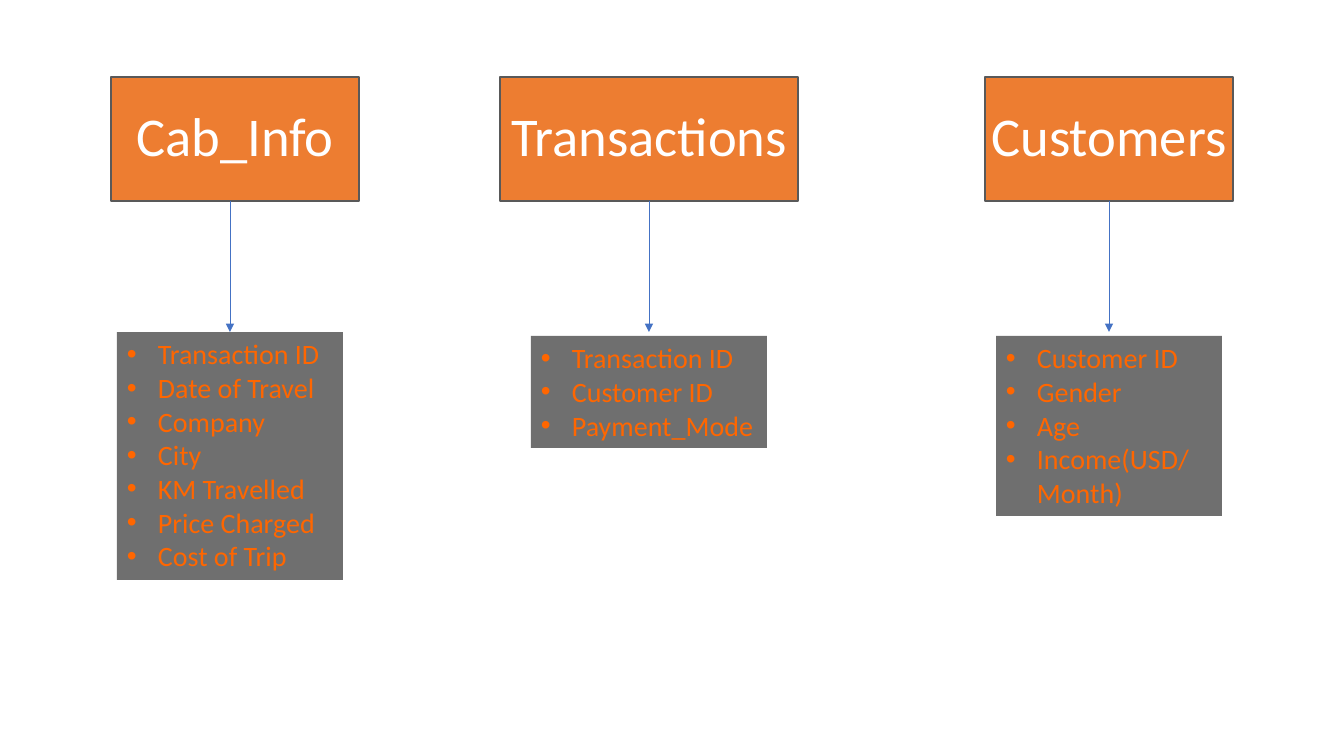
from dataclasses import dataclass

from lxml.etree import SubElement
from pptx import Presentation
from pptx.dml.color import RGBColor
from pptx.enum.shapes import MSO_CONNECTOR, MSO_SHAPE
from pptx.enum.text import MSO_ANCHOR, PP_ALIGN
from pptx.oxml.ns import qn
from pptx.shapes.autoshape import Shape
from pptx.shapes.shapetree import SlideShapes
from pptx.util import Emu, Pt

RECT = MSO_SHAPE.RECTANGLE
STRAIGHT = MSO_CONNECTOR.STRAIGHT
MIDDLE, TOP = MSO_ANCHOR.MIDDLE, MSO_ANCHOR.TOP
CENTER, LEFT = PP_ALIGN.CENTER, PP_ALIGN.LEFT
SCALE = 914400 / 100.8
BOTTOM_SITE, TOP_SITE = 2, 0


def px(n: int) -> Emu:
    return Emu(round(n * SCALE))


@dataclass(frozen=True)
class Theme:
    font: str = "Calibri"
    head_fill: RGBColor = RGBColor(0xED, 0x7D, 0x31)
    head_line: RGBColor = RGBColor(0x59, 0x59, 0x59)
    head_text: RGBColor = RGBColor(0xFF, 0xFF, 0xFF)
    list_fill: RGBColor = RGBColor(0x40, 0x40, 0x40)
    list_text: RGBColor = RGBColor(0xFF, 0x66, 0x00)
    arrow: RGBColor = RGBColor(0x44, 0x72, 0xC4)
    head_size: Pt = Pt(39)
    list_size: Pt = Pt(20)
    head_width: Pt = Pt(1)
    arrow_width: Pt = Pt(0.5)
    list_alpha: int = 75


@dataclass(frozen=True)
class Box:
    x: int
    y: int
    w: int
    h: int

    @property
    def mid(self) -> int:
        return self.x + self.w // 2

    @property
    def base(self) -> int:
        return self.y + self.h


@dataclass(frozen=True)
class Table:
    name: str
    head: Box
    body: Box
    fields: tuple[str, ...]


THEME = Theme()
HEAD_Y, HEAD_H, TIP_Y = 77, 124, 332
INSET, INDENT = px(3), px(31)
HEAD_FRAME = {
    "word_wrap": True, "vertical_anchor": MIDDLE,
    "margin_left": INSET, "margin_right": INSET,
    "margin_top": INSET, "margin_bottom": INSET,
}
LIST_FRAME = {"word_wrap": True, "vertical_anchor": TOP}
HEAD_PARA = {"alignment": CENTER, "line_spacing": 0.9}
LIST_PARA = {"alignment": LEFT}
HEAD_FONT = {"name": THEME.font, "size": THEME.head_size}
LIST_FONT = {"name": THEME.font, "size": THEME.list_size}

TABLES = (
    Table("Cab_Info", Box(111, HEAD_Y, 248, HEAD_H), Box(117, 332, 226, 248),
          ("Transaction ID", "Date of Travel", "Company", "City",
           "KM Travelled", "Price Charged", "Cost of Trip")),
    Table("Transactions", Box(500, HEAD_Y, 298, HEAD_H), Box(531, 336, 236, 112),
          ("Transaction ID", "Customer ID", "Payment_Mode")),
    Table("Customers", Box(985, HEAD_Y, 248, HEAD_H), Box(996, 336, 226, 180),
          ("Customer ID", "Gender", "Age", "Income(USD/Month)")),
)


def apply(target: object, values: dict) -> None:
    for key, value in values.items():
        setattr(target, key, value)


def add_box(shapes: SlideShapes, box: Box, fill: RGBColor, frame: dict) -> Shape:
    shape = shapes.add_shape(RECT, px(box.x), px(box.y), px(box.w), px(box.h))
    shape.shadow.inherit = False
    shape.fill.solid()
    shape.fill.fore_color.rgb = fill
    apply(shape.text_frame, frame)
    return shape


def add_text(shape: Shape, lines: tuple[str, ...], para: dict,
             font: dict, color: RGBColor) -> None:
    shape.text_frame.text = "\n".join(lines)
    for item in shape.text_frame.paragraphs:
        apply(item, para)
        run = item.runs[0]
        apply(run.font, font)
        run.font.color.rgb = color


def add_head(shapes: SlideShapes, table: Table) -> Shape:
    shape = add_box(shapes, table.head, THEME.head_fill, HEAD_FRAME)
    shape.line.color.rgb = THEME.head_line
    shape.line.width = THEME.head_width
    add_text(shape, (table.name,), HEAD_PARA, HEAD_FONT, THEME.head_text)
    return shape


def add_list(shapes: SlideShapes, table: Table) -> Shape:
    shape = add_box(shapes, table.body, THEME.list_fill, LIST_FRAME)
    shape.line.fill.background()
    tint = next(shape.fill._xPr.iter(qn("a:srgbClr")))
    SubElement(tint, qn("a:alpha"), val=str(THEME.list_alpha * 1000))
    add_text(shape, table.fields, LIST_PARA, LIST_FONT, THEME.list_text)
    for item in shape.text_frame.paragraphs:
        props = item._p.get_or_add_pPr()
        props.set("marL", str(INDENT))
        props.set("indent", str(-INDENT))
        SubElement(props, qn("a:buFont"), typeface="Arial")
        SubElement(props, qn("a:buChar"), char="•")
    return shape


def add_arrow(shapes: SlideShapes, table: Table, head: Shape, body: Shape) -> None:
    x = table.body.mid
    line = shapes.add_connector(STRAIGHT, px(x), px(table.head.base), px(x), px(TIP_Y))
    if table.head.mid == x:
        line.begin_connect(head, BOTTOM_SITE)
    if table.body.y == TIP_Y:
        line.end_connect(body, TOP_SITE)
    line.line.color.rgb = THEME.arrow
    line.line.width = THEME.arrow_width
    SubElement(line.line._get_or_add_ln(), qn("a:tailEnd"), type="triangle")
    SubElement(line._element.spPr, qn("a:effectLst"))


def main() -> None:
    deck = Presentation()
    deck.slide_width, deck.slide_height = px(1344), px(756)
    shapes = deck.slides.add_slide(deck.slide_layouts.get_by_name("Blank")).shapes
    for table in TABLES:
        head = add_head(shapes, table)
        body = add_list(shapes, table)
        add_arrow(shapes, table, head, body)
    deck.save("out.pptx")


if __name__ == "__main__":
    main()
